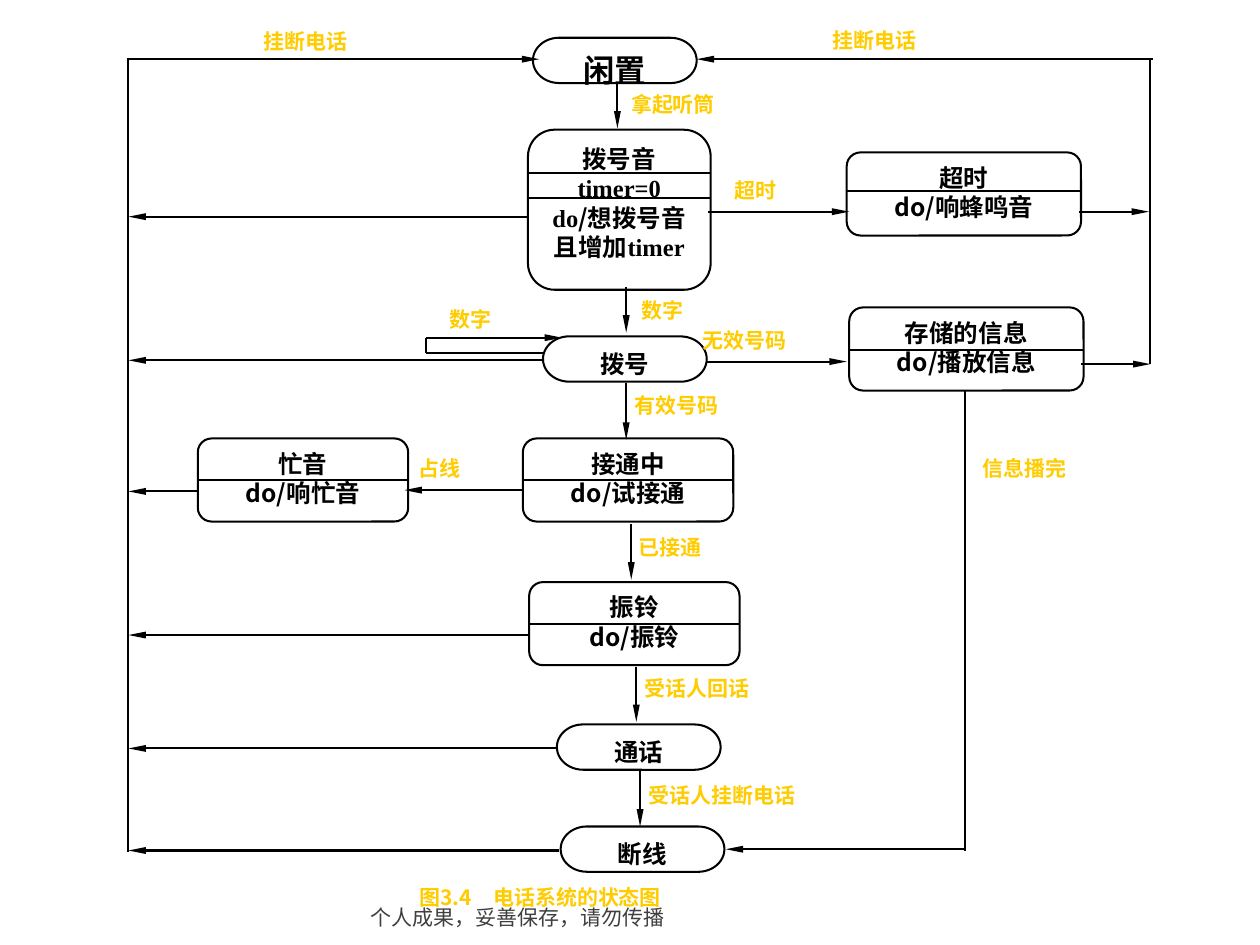
import pptx
import pptx.dml.color
import pptx.enum.shapes
import pptx.enum.text
import pptx.oxml.ns
import pptx.util
from lxml import etree

COLORS = {"ink": "000000", "paper": "FFFFFF", "label": "FFCC00", "note": "3F3F3F"}
SERIF, SANS = "Times New Roman", "Noto Sans CJK SC"
SHAPE = pptx.enum.shapes.MSO_SHAPE
ALIGN = pptx.enum.text.PP_ALIGN
ANCHOR = pptx.enum.text.MSO_ANCHOR
rgb = pptx.dml.color.RGBColor.from_string
qn = pptx.oxml.ns.qn

prs = pptx.Presentation()
prs.slide_width = pptx.util.Inches(10)
prs.slide_height = pptx.util.Inches(7.5)
s = prs.slides.add_slide(prs.slide_layouts[5])

# The slide is a grid of 100 columns by 75 rows.
COL, ROW = prs.slide_width / 100, prs.slide_height / 75


def place(x, y, w, h):
    return round(x * COL), round(y * ROW), round(w * COL), round(h * ROW)


def write(sp, lines, size, font, color, align, bold=True):
    """Fill a shape with paragraphs; a slash is always set in the sans font."""
    tf = sp.text_frame
    tf.word_wrap = True
    tf.auto_size = pptx.enum.text.MSO_AUTO_SIZE.NONE
    tf.vertical_anchor = ANCHOR.TOP
    for i, line in enumerate(lines):
        p = tf.paragraphs[0] if i == 0 else tf.add_paragraph()
        p.alignment = align
        for part in filter(None, line.partition("/")):
            r = p.add_run()
            r.text = part
            r.font.size = pptx.util.Pt(size)
            r.font.bold = bold
            r.font.name = SANS if part == "/" else font
            r.font.color.rgb = rgb(COLORS[color])
            etree.SubElement(r.font._element, qn("a:ea"), typeface=SANS)


# Caption and footer note
title = s.shapes.title
title.left, title.top, title.width, title.height = place(32.3, 69.7, 37.1, 4.4)
write(title, ["图3.4　电话系统的状态图"], 12, SANS, "label", ALIGN.JUSTIFY)

note = s.shapes.add_textbox(*place(28.9, 70.8, 60.2, 3))
write(note, ["个人成果，妥善保存，请勿传播"], 12, "Cabin", "note", ALIGN.LEFT, bold=False)
tf = note.text_frame
tf.vertical_anchor = ANCHOR.BOTTOM
tf.margin_left = tf.margin_right = pptx.util.Inches(0.05)
tf.margin_bottom = 0

# Simple states: x, y, name, size
pills = [
    (42.3, 3, "闲置", 18),
    (43.1, 26.7, "拨号", 14),
    (44.2, 57.5, "通话", 14),
    (44.5, 65.6, "断线", 14),
]
# States with actions: x, y, w, h, lines, font, rows of the dividers
boxes = [
    (41.9, 10.3, 14.5, 12.7, ["拨号音", "timer=0", "do/想拨号音且增加timer"], SERIF, [13.7, 15.7]),
    (67.2, 12.1, 18.6, 6.6, ["超时", "do/响蜂鸣音"], SANS, [15.2]),
    (67.4, 24.4, 18.6, 6.6, ["存储的信息", "do/播放信息"], SANS, [27.8]),
    (41.5, 34.8, 16.7, 6.6, ["接通中", "do/试接通"], SANS, [38.1]),
    (15.7, 34.8, 16.7, 6.6, ["忙音", "do/响忙音"], SANS, [38.1]),
    (42, 46.2, 16.7, 6.6, ["振铃", "do/振铃"], SANS, [49.5]),
]
states = [(SHAPE.FLOWCHART_TERMINATOR, x, y, 13, 3.6, [name], size, SERIF)
          for x, y, name, size in pills]
states += [(SHAPE.ROUNDED_RECTANGLE, x, y, w, h, lines, 14, font)
           for x, y, w, h, lines, font, _ in boxes]
for kind, x, y, w, h, lines, size, font in states:
    sp = s.shapes.add_shape(kind, *place(x, y, w, h))
    sp.shadow.inherit = False
    sp.fill.solid()
    sp.fill.fore_color.rgb = rgb(COLORS["paper"])
    sp.line.color.rgb = rgb(COLORS["ink"])
    sp.line.width = pptx.util.Pt(1.16)
    write(sp, lines, size, font, "ink", ALIGN.CENTER)

# Plain lines: x1, y1, x2, y2
RAIL_LEFT, RAIL_RIGHT = 10.2, 91.3
plain = [
    (RAIL_LEFT, 4.6, RAIL_LEFT, 67.6),
    (RAIL_RIGHT, 4.6, RAIL_RIGHT, 28.9),
    (76.6, 31, 76.6, 67.5),
    (43.1, 28, 33.8, 28),
    (33.8, 28, 33.8, 26.8),
]
plain += [(x, row, x + w, row) for x, _, w, _, _, _, rows in boxes for row in rows]

arrows = [
    (RAIL_LEFT, 4.7, 42.8, 4.7),
    (91.5, 4.7, 55.3, 4.7),
    (56.2, 16.8, 67.4, 16.8),
    (85.6, 16.8, 91.2, 16.8),
    (56.1, 28.7, 67.2, 28.7),
    (85.8, 28.9, RAIL_RIGHT, 28.9),
    (33.8, 26.8, 44.6, 26.8),
    (41.4, 38.9, 32.1, 38.9),
    (76.6, 67.4, 57.6, 67.4),
]
# Transitions down the middle: x, y1, y2
arrows += [(x, y1, x, y2) for x, y1, y2 in [
    (49, 6.6, 10.2), (49.7, 22.8, 26.4), (49.7, 30.4, 34.9),
    (50.1, 41.6, 46), (50.5, 52.9, 57.3), (50.8, 61.1, 65.6)]]
# Hang-ups back to the left rail: x, y
arrows += [(x, y, RAIL_LEFT, y) for x, y in [
    (41.9, 17.2), (43.2, 28.6), (15.6, 39), (42.1, 50.4), (44.3, 59.4), (44.4, 67.5)]]

for i, (x1, y1, x2, y2) in enumerate(plain + arrows):
    line = s.shapes.add_connector(
        pptx.enum.shapes.MSO_CONNECTOR.STRAIGHT, *place(x1, y1, x2, y2))
    line.line.color.rgb = rgb(COLORS["ink"])
    line.line.width = pptx.util.Pt(1.16)
    if i >= len(plain):
        etree.SubElement(line.line._get_or_add_ln(), qn("a:tailEnd"),
                         type="triangle", w="sm", len="lg")
    etree.SubElement(line._element.spPr, qn("a:effectLst"))

# Transition labels: x, y, width, text
labels = [
    (19.9, 1.8, 14.8, "挂断电话"),
    (65.1, 1.7, 14.8, "挂断电话"),
    (49.1, 6.8, 14.8, "拿起听筒"),
    (57.3, 13.6, 9.3, "超时"),
    (49.9, 23.1, 9.1, "数字"),
    (34.7, 23.8, 11.1, "数字"),
    (54.8, 25.5, 14.8, "无效号码"),
    (49.4, 30.7, 14.8, "有效号码"),
    (32.2, 35.7, 9.3, "占线"),
    (77, 35.7, 14.8, "信息播完"),
    (49.7, 41.9, 11.1, "已接通"),
    (50.2, 53.1, 16.2, "受话人回话"),
    (50.5, 61.6, 21.5, "受话人挂断电话"),
]
for x, y, w, text in labels:
    sp = s.shapes.add_textbox(*place(x, y, w, 3.3))
    write(sp, [text], 12, SERIF, "label", ALIGN.JUSTIFY)

prs.save("out.pptx")
